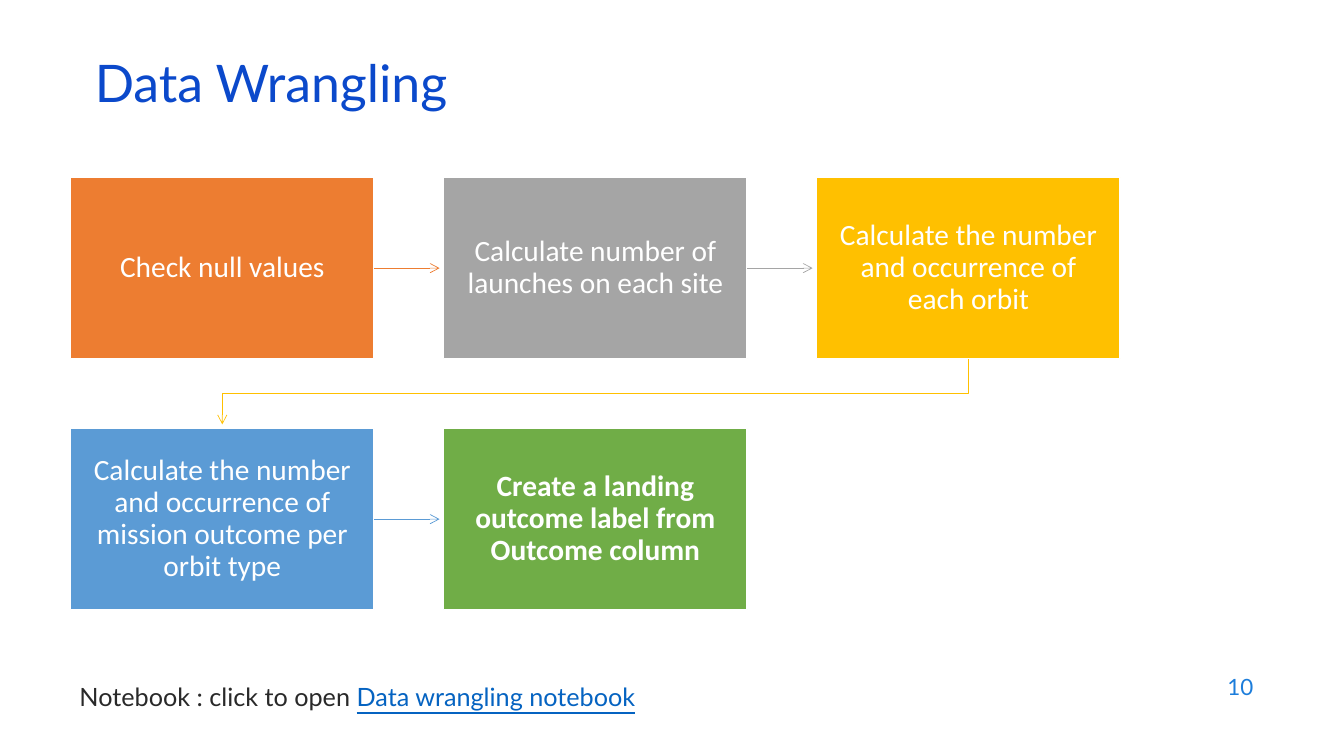
from pptx import Presentation
from pptx.dml.color import RGBColor
from pptx.enum.shapes import MSO_CONNECTOR as Line, MSO_SHAPE as Shape
from pptx.enum.text import MSO_ANCHOR as Anchor, MSO_AUTO_SIZE as Fit, PP_ALIGN as Align
from pptx.oxml.ns import qn
from pptx.util import Inches, Pt
from lxml.etree import SubElement

COLORS = {
    "title": "0B49CB", "number": "1C7DDB", "ink": "292929", "link": "0563C1",
    "white": "FFFFFF", "orange": "ED7D31", "gray": "A5A5A5", "gold": "FFC000",
    "blue": "5B9BD5", "green": "70AD47",
}

# Grid units: one column or row is a tenth of an inch
FLOW_LEFT, FLOW_TOP = 7, 17.6
STEP_W, STEP_H = 30.1, 18
PITCH_X, PITCH_Y = 37, 24.9
ARROW_GAP = 0.4
STEPS_PER_ROW = 3

STEPS = [
    ("Check null values", "orange", False),
    ("Calculate number of launches on each site", "gray", False),
    ("Calculate the number and occurrence of each orbit", "gold", False),
    ("Calculate the number and occurrence of mission outcome per orbit type", "blue", False),
    ("Create a landing outcome label from Outcome column", "green", True),
]


def units(*counts):
    return [Inches(count / 10) for count in counts]


def color(name):
    return RGBColor.from_string(COLORS[name])


class FlowSlide:
    def __init__(self, deck):
        self.slide = deck.slides.add_slide(deck.slide_layouts[5])
        self.shapes = self.slide.shapes

    def set_text(self, frame, runs, size, font="Lato", align=Align.LEFT,
                 anchor=Anchor.MIDDLE, spacing=1.0):
        """Fill a frame with runs of (text, color, bold, underline)."""
        frame.word_wrap = True
        frame.auto_size = Fit.NONE
        frame.vertical_anchor = anchor
        paragraph = frame.paragraphs[0]
        paragraph.alignment = align
        paragraph.line_spacing = spacing
        for text, ink, bold, underline in runs:
            run = paragraph.add_run()
            run.text = text
            run.font.name, run.font.size = font, Pt(size)
            run.font.bold, run.font.underline = bold, underline
            run.font.color.rgb = color(ink)

    def title(self, text, box):
        heading = self.shapes.title
        heading.left, heading.top, heading.width, heading.height = units(*box)
        self.set_text(heading.text_frame, [(text, "title", False, False)], 37, spacing=0.7)

    def text(self, runs, box, size, **style):
        label = self.shapes.add_textbox(*units(*box))
        self.set_text(label.text_frame, runs, size, **style)

    def step(self, text, fill, bold, left, top):
        card = self.shapes.add_shape(Shape.RECTANGLE, *units(left, top, STEP_W, STEP_H))
        card.shadow.inherit = False
        card.fill.solid()
        card.fill.fore_color.rgb = color(fill)
        card.line.color.rgb = color("white")
        card.line.width = Pt(1)
        frame = card.text_frame
        frame.margin_left = frame.margin_right = Inches(0.16)
        frame.margin_top = frame.margin_bottom = Inches(0.16)
        self.set_text(frame, [(text, "white", bold, False)], 21, "Calibri", Align.CENTER,
                      spacing=0.9)
        return card

    def arrow_style(self, arrow, ink):
        arrow.line.color.rgb = color(ink)
        arrow.line.width = Pt(0.5)
        properties = arrow.element.spPr
        SubElement(properties.find(qn("a:ln")), qn("a:tailEnd"), type="arrow")
        SubElement(properties, qn("a:effectLst"))

    def next_arrow(self, card, ink, left, top):
        middle = top + STEP_H / 2
        ends = units(left + STEP_W, middle, left + PITCH_X - ARROW_GAP, middle)
        arrow = self.shapes.add_connector(Line.STRAIGHT, *ends)
        arrow.begin_connect(card, 3)
        self.arrow_style(arrow, ink)

    def wrap_arrow(self, ink, left, top):
        start_x, end_x = left + STEP_W / 2, FLOW_LEFT + STEP_W / 2
        start_y, end_y = top + STEP_H, top + PITCH_Y - ARROW_GAP
        turn_y = top + (STEP_H + PITCH_Y) / 2
        outline = self.shapes.build_freeform(*units(start_x, start_y))
        outline.add_line_segments(
            [units(start_x, turn_y), units(end_x, turn_y), units(end_x, end_y)], close=False)
        arrow = outline.convert_to_shape()
        arrow.fill.background()
        self.arrow_style(arrow, ink)


def main():
    deck = Presentation()
    deck.slide_width, deck.slide_height = Inches(13.33), Inches(7.5)
    page = FlowSlide(deck)

    # Heading and slide number
    page.title("Data Wrangling", (8.4, 5.9, 115, 6))
    page.text([("10", "number", False, False)], (95.3, 65.9, 30, 4.4), 16, align=Align.RIGHT)

    # Process steps, row by row, each with an arrow to the next
    for index, (text, fill, bold) in enumerate(STEPS):
        row, column = divmod(index, STEPS_PER_ROW)
        left, top = FLOW_LEFT + column * PITCH_X, FLOW_TOP + row * PITCH_Y
        card = page.step(text, fill, bold, left, top)
        if index == len(STEPS) - 1:
            continue
        if column == STEPS_PER_ROW - 1:
            page.wrap_arrow(fill, left, top)
        else:
            page.next_arrow(card, fill, left, top)

    # Notebook line
    page.text([("Notebook : click to open ", "ink", False, False),
               ("Data wrangling notebook", "link", False, True)],
              (6.9, 67.1, 66.7, 4), 18, anchor=Anchor.TOP)

    deck.save("out.pptx")


if __name__ == "__main__":
    main()
